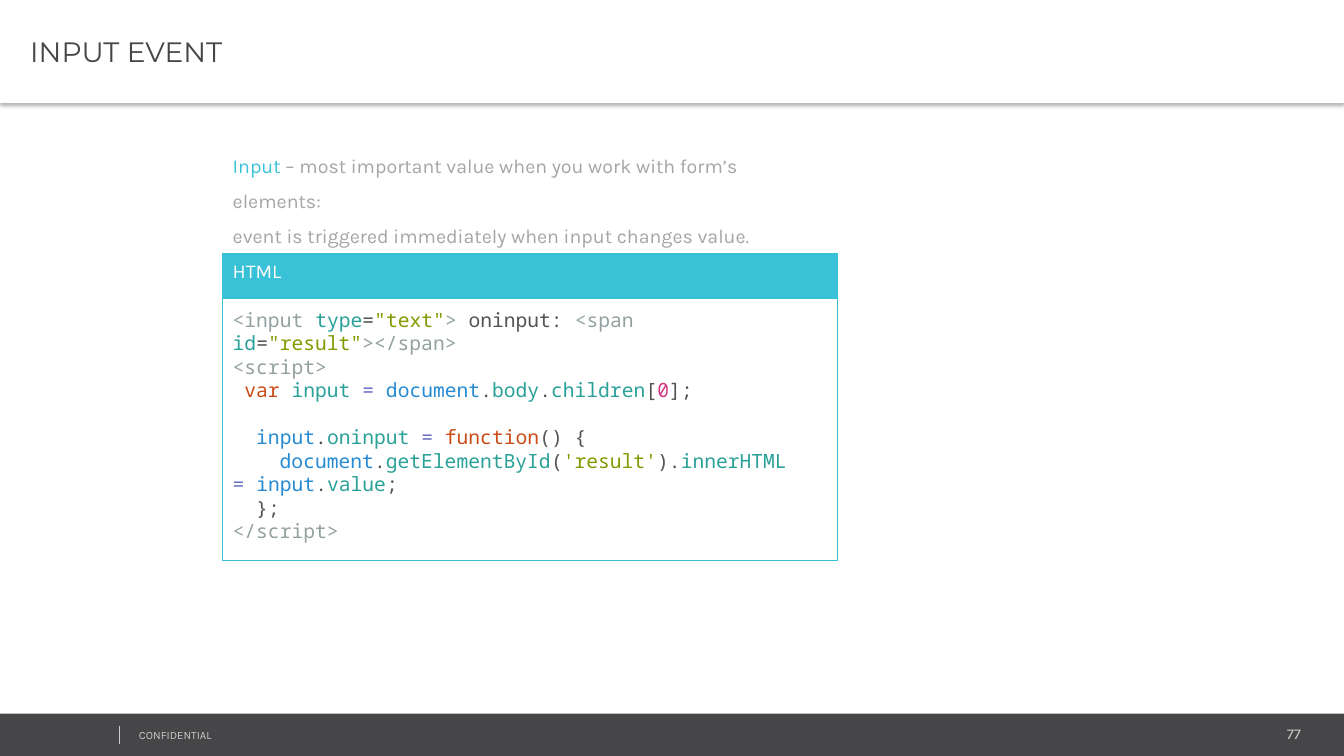
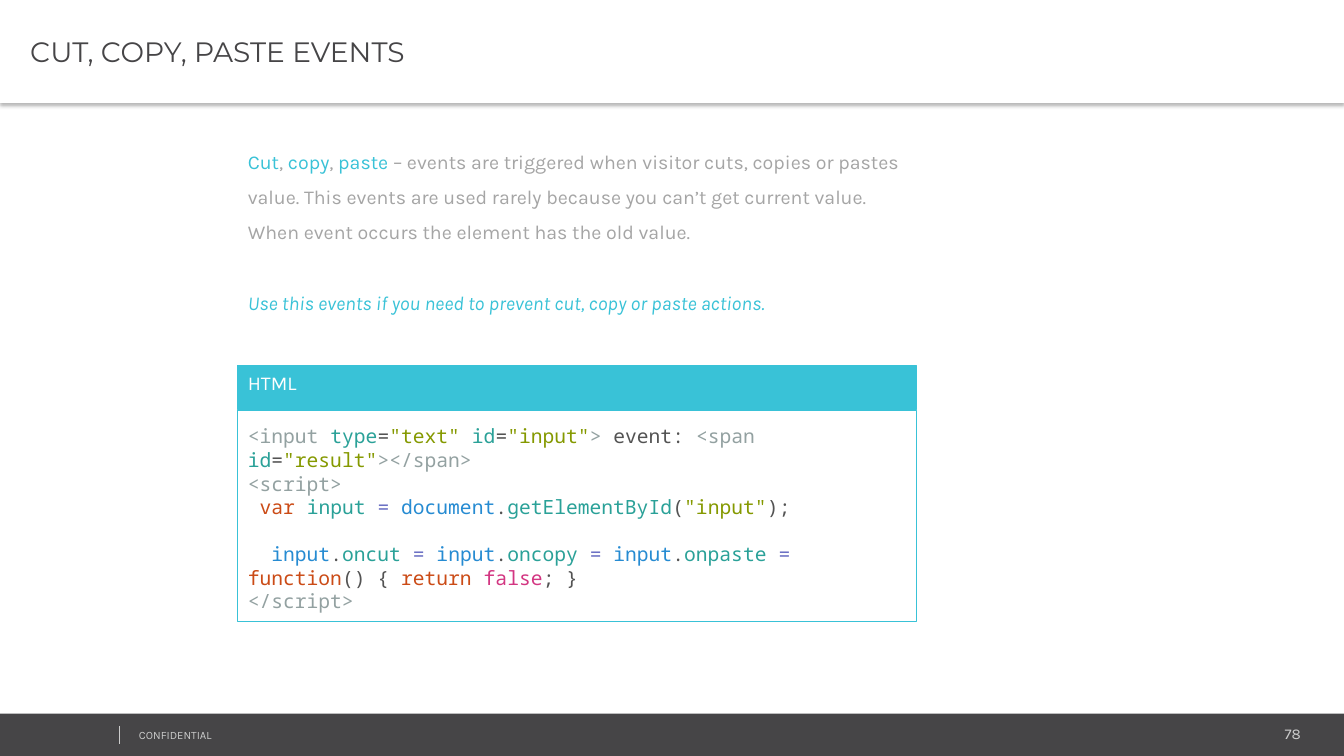
import pptx
import pptx.util
import pptx.dml.color
import pptx.enum.shapes
import pptx.enum.text
import pptx.oxml
import pptx.oxml.ns

Inches = pptx.util.Inches
Pt = pptx.util.Pt
ALIGN = pptx.enum.text.PP_ALIGN
ANCHOR = pptx.enum.text.MSO_ANCHOR

COLORS = {
    "white": "FFFFFF", "dark": "464547", "cyan": "39C2D7",
    "gray": "A5A5A5", "pale": "CCCCCC",
    "tag": "93A1A1", "name": "2AA198", "text": "535353",
    "str": "859900", "key": "CB4B16", "op": "6C71C4",
    "obj": "268BD2", "num": "D33682",
}
BODY, HEAD, MONO = "Karla", "Montserrat", "Noto Sans Mono"
CHAR = 0.6 * 14
LEAD = 16.8

SHADOW = (
    '<a:effectLst %s><a:outerShdw blurRad="39370" dist="25400" dir="5400000" '
    'algn="t" rotWithShape="0"><a:srgbClr val="000000"><a:alpha val="30000"/>'
    '</a:srgbClr></a:outerShdw></a:effectLst>' % pptx.oxml.ns.nsdecls("a")
)
BARE = "<a:effectLst %s/>" % pptx.oxml.ns.nsdecls("a")

INTRO_INPUT = [
    (0, [("Input", "cyan"),
         (" – most important value when you work with form’s elements:", "gray")]),
    (0, [("event is triggered immediately when input changes value.", "gray")]),
]
INTRO_CLIP = [
    (0, [("Cut", "cyan"), (", ", "gray"), ("copy", "cyan"), (", ", "gray"),
         ("paste", "cyan"),
         (" – events are triggered when visitor cuts, copies or pastes value. "
          "This events are used rarely because you can’t get current value. "
          "When event occurs the element has the old value.", "gray")]),
    (25, [("Use this events if you need to prevent cut, copy or paste actions.",
           "cyan")]),
]

SPAN = [("<span ", "tag"), ("id", "name"), ("=", "text"),
        ('"result"', "str"), ("></span>", "tag")]
OPEN = (0, 0, [("<script>", "tag")])
CLOSE = (0, 0, [("</script>", "tag")])
VAR = [("var ", "key"), ("input ", "name"), ("= ", "op"),
       ("document", "obj"), (".", "text")]


def prop(name, obj="input"):
    return [(obj, "obj"), (".", "text"), (name, "name")]


def assign(name):
    return prop(name + " ") + [("= ", "op")]


CODE_INPUT = [
    (0, 0, [("<input ", "tag"), ("type", "name"), ("=", "text"),
            ('"text"', "str"), (">", "tag"), (" oninput: ", "text")] + SPAN),
    OPEN,
    (1, 0, VAR + [("body", "name"), (".", "text"), ("children", "name"),
                  ("[", "text"), ("0", "num"), ("];", "text")]),
    (2, LEAD, assign("oninput") + [("function", "key"), ("() {", "text")]),
    (4, 0, prop("getElementById", "document")
     + [("(", "text"), ("'result'", "str"), (").", "text"),
        ("innerHTML ", "name"), ("= ", "op")]
     + prop("value") + [(";", "text")]),
    (2, 0, [("};", "text")]),
    CLOSE,
]
CODE_CLIP = [
    (0, 0, [("<input ", "tag"), ("type", "name"), ("=", "text"),
            ('"text" ', "str"), ("id", "name"), ("=", "text"),
            ('"input"', "str"), (">", "tag"), (" event: ", "text")] + SPAN),
    OPEN,
    (1, 0, VAR + [("getElementById", "name"), ("(", "text"),
                  ('"input"', "str"), (");", "text")]),
    (2, LEAD, assign("oncut") + assign("oncopy") + assign("onpaste")
     + [("function", "key"), ("() { ", "text"), ("return ", "key"),
        ("false", "num"), ("; }", "text")]),
    CLOSE,
]


def color(name):
    return pptx.dml.color.RGBColor.from_string(COLORS[name])


def paint(shape, fill, line=None):
    shape.fill.solid()
    shape.fill.fore_color.rgb = color(fill)
    if line:
        shape.line.color.rgb = color(line)
        shape.line.width = Pt(0.75)
    else:
        shape.line.fill.background()


def style(para, font, size, ink=None):
    para.alignment = ALIGN.LEFT
    para.font.name = font
    para.font.size = Pt(size)
    if ink:
        para.font.color.rgb = color(ink)


def add_runs(para, runs):
    for text, ink in runs:
        run = para.add_run()
        run.text = text
        run.font.color.rgb = color(ink)


def next_para(frame, index):
    return frame.add_paragraph() if index else frame.paragraphs[0]


def add_rect(slide, box, fill, line=None):
    rect = slide.shapes.add_shape(
        pptx.enum.shapes.MSO_SHAPE.RECTANGLE, *map(Inches, box))
    rect.shadow.inherit = False
    paint(rect, fill, line)
    rect.text_frame.word_wrap = True
    rect.text_frame.vertical_anchor = ANCHOR.TOP
    return rect


def add_text(slide, box):
    frame = slide.shapes.add_textbox(*map(Inches, box)).text_frame
    frame.word_wrap = True
    return frame


def add_label(slide, box, text, size):
    para = add_text(slide, box).paragraphs[0]
    para.text = text
    style(para, BODY, size, "pale")
    return para


def add_title(slide, text):
    title = slide.shapes.title
    title.left, title.top = Inches(0), Inches(0)
    title.width, title.height = Inches(13.33), Inches(1.02)
    paint(title, "white")
    title._element.spPr.append(pptx.oxml.parse_xml(SHADOW))
    frame = title.text_frame
    frame.auto_size = pptx.enum.text.MSO_AUTO_SIZE.NONE
    frame.word_wrap = True
    frame.vertical_anchor = ANCHOR.MIDDLE
    frame.margin_left, frame.margin_right = Inches(0.3), Inches(0.07)
    frame.margin_top = frame.margin_bottom = Inches(0.04)
    frame.text = text
    style(frame.paragraphs[0], HEAD, 20, "dark")


def add_footer(slide, number):
    add_rect(slide, (0, 7.08, 13.35, 0.43), "dark")
    page = add_label(slide, (10.82, 7.14, 2.18, 0.28), str(number), 10.7)
    page.alignment = ALIGN.RIGHT
    add_label(slide, (1.28, 7.18, 3.38, 0.24), "CONFIDENTIAL", 8)
    rule = slide.shapes.add_connector(
        pptx.enum.shapes.MSO_CONNECTOR.STRAIGHT,
        *map(Inches, (1.19, 7.2, 1.19, 7.38)))
    rule.line.color.rgb = color("pale")
    rule.line.width = Pt(0.75)
    rule._element.spPr.append(pptx.oxml.parse_xml(BARE))


def add_intro(slide, box, paras):
    frame = add_text(slide, box)
    for index, (gap, runs) in enumerate(paras):
        para = next_para(frame, index)
        style(para, BODY, 14)
        para.line_spacing = 1.5
        para.space_before = Pt(gap)
        para.font.italic = gap > 0
        add_runs(para, runs)


def add_code(slide, box, pad, lines):
    left, top, width, height = box
    panel = add_rect(slide, (left, top + 0.44, width, height), "white", "cyan")
    head = add_rect(slide, (left, top, width, 0.43), "cyan", "cyan")
    label = head.text_frame.paragraphs[0]
    label.text = "HTML"
    style(label, BODY, 14, "white")
    frame = panel.text_frame
    frame.margin_top = Inches(pad)
    frame.margin_right = Inches(0.5)
    for index, (indent, gap, runs) in enumerate(lines):
        para = next_para(frame, index)
        style(para, MONO, 14)
        para.space_before = Pt(gap)
        para._p.get_or_add_pPr().set("indent", str(int(Pt(indent * CHAR))))
        add_runs(para, runs)


def add_page(deck, number, title, intro, code):
    slide = deck.slides.add_slide(deck.slide_layouts[5])
    add_footer(slide, number)
    add_intro(slide, *intro)
    add_code(slide, *code)
    add_title(slide, title)


def main():
    deck = pptx.Presentation()
    deck.slide_width, deck.slide_height = Inches(13.33), Inches(7.5)
    add_page(deck, 77, "INPUT EVENT",
             ((2.21, 1.36, 6.1, 0.76), INTRO_INPUT),
             ((2.21, 2.52, 6.1, 2.6), 0.09, CODE_INPUT))
    add_page(deck, 78, "CUT, COPY, PASTE EVENTS",
             ((2.36, 1.32, 6.73, 1.92), INTRO_CLIP),
             ((2.36, 3.63, 6.73, 2.1), 0.14, CODE_CLIP))
    deck.save("out.pptx")


if __name__ == "__main__":
    main()
